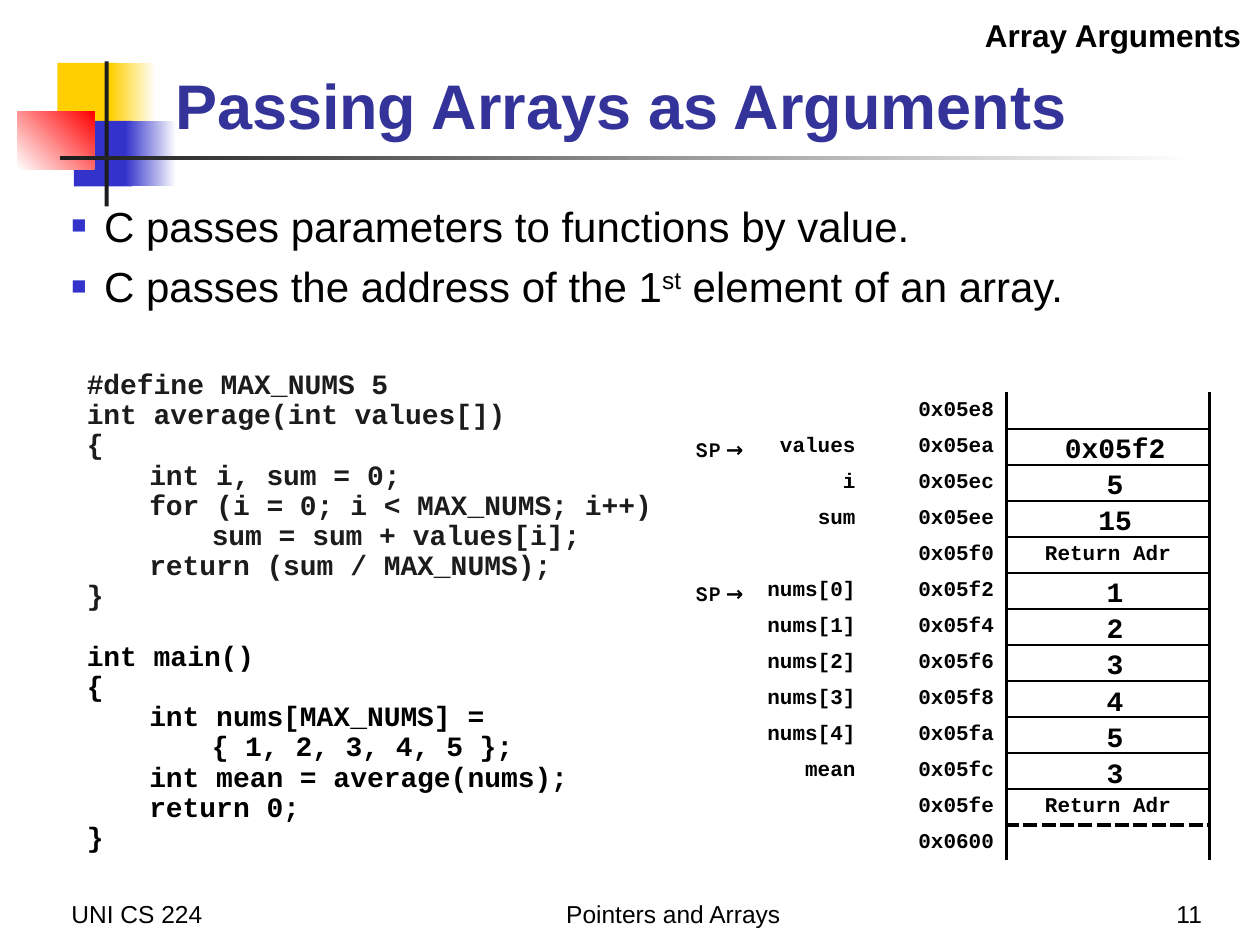
from lxml.etree import SubElement
from pptx import Presentation
from pptx.dml.color import RGBColor
from pptx.enum.shapes import MSO_SHAPE
from pptx.enum.text import MSO_ANCHOR, PP_ALIGN
from pptx.oxml.ns import qn
from pptx.util import Cm, Pt

BLACK = RGBColor(0x00, 0x00, 0x00)
CHARCOAL = RGBColor(0x1C, 0x1C, 0x1C)
WHITE = RGBColor(0xFF, 0xFF, 0xFF)
YELLOW = RGBColor(0xFF, 0xCF, 0x01)
BLUE = RGBColor(0x33, 0x33, 0xCC)
RED = RGBColor(0xFF, 0x00, 0x00)
TITLE_BLUE = RGBColor(0x33, 0x33, 0x99)
MONO = "Courier New"

BULLETS = [
    [("C passes parameters to functions by value.", 0)],
    [("C passes the address of the 1", 0), ("st", 30000),
     (" element of an array.", 0)],
]
AVERAGE_CODE = [
    (0, "#define MAX_NUMS 5"),
    (0, "int average(int values[])"),
    (0, "{"),
    (1, "int i, sum = 0;"),
    (1, "for (i = 0; i < MAX_NUMS; i++)"),
    (2, "sum = sum + values[i];"),
    (1, "return (sum / MAX_NUMS);"),
    (0, "}"),
]
MAIN_CODE = [
    (0, "int main()"),
    (0, "{"),
    (1, "int nums[MAX_NUMS] ="),
    (2, "{ 1, 2, 3, 4, 5 };"),
    (1, "int mean = average(nums);"),
    (1, "return 0;"),
    (0, "}"),
]
NAMES = ["", "values", "i", "sum", "", "nums[0]", "nums[1]", "nums[2]",
         "nums[3]", "nums[4]", "mean", "", ""]
VALUES = ["", "0x05f2", "5", "15", "", "1", "2", "3", "4", "5", "3", "", ""]
RETURN_ROWS = (4, 11)
STACK_POINTER_ROWS = (1, 5)
FIRST_ADDRESS = 0x05E8


def write(paragraph, text, size=12, font="Arial", color=BLACK, bold=False,
          align=PP_ALIGN.LEFT):
    """Add formatted text to a paragraph and return the run."""
    paragraph.alignment = align
    run = paragraph.add_run()
    run.text = text
    run.font.size = Pt(size)
    run.font.name = font
    run.font.bold = bold
    run.font.color.rgb = color
    return run


def add_box(slide, left, top, width, height, anchor=MSO_ANCHOR.TOP, wrap=True):
    """Add an empty text box and return its text frame."""
    frame = slide.shapes.add_textbox(
        Cm(left), Cm(top), Cm(width), Cm(height)).text_frame
    frame.word_wrap = wrap
    frame.vertical_anchor = anchor
    return frame


def next_paragraph(frame, index):
    """Return the first paragraph of a frame, or a new one after it."""
    return frame.add_paragraph() if index else frame.paragraphs[0]


def add_block(slide, left, top, width, height, start, end=None, angle=0):
    """Add a borderless rectangle with a plain or gradient fill."""
    shape = slide.shapes.add_shape(
        MSO_SHAPE.RECTANGLE, Cm(left), Cm(top), Cm(width), Cm(height))
    shape.shadow.inherit = False
    shape.line.fill.background()
    if end is None:
        shape.fill.solid()
        shape.fill.fore_color.rgb = start
        return
    shape.fill.gradient()
    shape.fill.gradient_angle = angle
    for stop, color, position in zip(shape.fill.gradient_stops, (start, end), (0, 1)):
        stop.color.rgb = color
        stop.position = position


def add_emblem(slide, left, top):
    """Add the coloured squares with the crossing bars."""
    add_block(slide, left + 0.81, top + 0.03, 1.22, 1.32, YELLOW)
    add_block(slide, left + 1.88, top + 0.03, 0.91, 1.32, YELLOW, WHITE)
    add_block(slide, left + 1.14, top + 1.2, 1.17, 1.32, BLUE)
    add_block(slide, left + 2.18, top + 1.2, 1.02, 1.32, BLUE, WHITE)
    add_block(slide, left, top + 1, 1.55, 1.17, WHITE, RED, 45)
    add_block(slide, left + 1.76, top, 0.08, 2.92, CHARCOAL)
    add_block(slide, left + 0.86, top + 1.91, 22.86, 0.08, CHARCOAL, WHITE)


def add_headings(slide):
    """Add the section label and the title."""
    title = add_box(slide, 3.28, 0.58, 21.64, 2.41, MSO_ANCHOR.BOTTOM)
    write(title.paragraphs[0], "Passing Arrays as Arguments", size=36,
          color=TITLE_BLUE, bold=True)
    section = add_box(slide, 15.06, 0.2, 10.21, 1.02)
    write(section.paragraphs[0], "Array Arguments", size=18, bold=True,
          align=PP_ALIGN.RIGHT)


def add_footer(slide, top):
    """Add the three footer texts."""
    for left, width, text, align in (
            (1.19, 5.28, "UNI CS 224", PP_ALIGN.LEFT),
            (7.06, 13.03, "Pointers and Arrays", PP_ALIGN.CENTER),
            (19.2, 5.28, "11", PP_ALIGN.RIGHT)):
        frame = add_box(slide, left, top, width, 1.27, MSO_ANCHOR.BOTTOM)
        write(frame.paragraphs[0], text, size=14, align=align)


def add_bullets(slide, left, top, width, height):
    """Add the square-bulleted statements."""
    frame = add_box(slide, left, top, width, height)
    for index, parts in enumerate(BULLETS):
        paragraph = next_paragraph(frame, index)
        paragraph.space_before = Pt(5.5)
        for text, baseline in parts:
            run = write(paragraph, text, size=24)
            if baseline:
                run.font._element.set("baseline", str(baseline))
        properties = paragraph._p.get_or_add_pPr()
        properties.set("marL", str(Cm(0.66)))
        properties.set("indent", str(-Cm(0.66)))
        color = SubElement(properties, qn("a:buClr"))
        SubElement(color, qn("a:srgbClr")).set("val", str(BLUE))
        SubElement(properties, qn("a:buSzPct")).set("val", "60000")
        SubElement(properties, qn("a:buFont")).set("typeface", "Arial")
        SubElement(properties, qn("a:buChar")).set("char", "■")


def add_code(slide, left, top, width, height):
    """Add the two functions, indented by level."""
    frame = add_box(slide, left, top, width, height)
    lines = [(line, CHARCOAL) for line in AVERAGE_CODE]
    lines += [(line, BLACK) for line in MAIN_CODE]
    for index, ((level, text), color) in enumerate(lines):
        paragraph = next_paragraph(frame, index)
        paragraph.line_spacing = 0.9
        if index == len(AVERAGE_CODE):
            paragraph.space_before = Pt(17.3)
        paragraph._p.get_or_add_pPr().set("marL", str(Cm(1.26 * level)))
        write(paragraph, text, size=16, font=MONO, color=color, bold=True)


def set_borders(cell, borders):
    """Draw cell borders given as side: (points, dash)."""
    properties = cell._tc.get_or_add_tcPr()
    for side, (points, dash) in borders.items():
        line = SubElement(properties, qn("a:ln" + side), w=str(Pt(points)))
        fill = SubElement(line, qn("a:solidFill"))
        SubElement(fill, qn("a:srgbClr")).set("val", str(BLACK))
        SubElement(line, qn("a:prstDash")).set("val", dash)


def memory_borders(row, column, last):
    """Return the borders of one cell of the memory table."""
    edge, rule, dashed = (2.25, "solid"), (1, "solid"), (2.25, "dash")
    if column < 2:
        return {"R": edge} if column else {}
    borders = {"L": edge, "R": edge}
    if row:
        borders["T"] = dashed if row == last else rule
    if row < last:
        borders["B"] = dashed if row == last - 1 else rule
    return borders


def add_memory(slide, left, top, height):
    """Add the stack memory table with its values and stack pointers."""
    count = len(NAMES)
    pitch = height / count
    widths = (4.32, 2.79, 4.09)
    graphic = slide.shapes.add_table(
        count, 3, Cm(left), Cm(top), Cm(sum(widths)), Cm(height))
    table = graphic.table
    table.first_row = table.horz_banding = False
    for column, width in zip(table.columns, widths):
        column.width = Cm(width)
    for row, name in enumerate(NAMES):
        table.rows[row].height = Cm(pitch)
        content = "Return Adr" if row in RETURN_ROWS else ""
        texts = (name, f"0x{FIRST_ADDRESS + 2 * row:04x}", content)
        for column, text in enumerate(texts):
            cell = table.cell(row, column)
            cell.margin_top = cell.margin_bottom = Cm(0.03)
            cell.vertical_anchor = MSO_ANCHOR.MIDDLE
            set_borders(cell, memory_borders(row, column, count - 1))
            cell.fill.background()
            paragraph = cell.text_frame.paragraphs[0]
            if text:
                align = PP_ALIGN.CENTER if column == 2 else PP_ALIGN.RIGHT
                write(paragraph, text, font=MONO, bold=True, align=align)
            else:
                SubElement(paragraph._p, qn("a:endParaRPr")).set("sz", "1200")
    for row, value in enumerate(VALUES):
        if value:
            width = 0.52 + 0.34 * len(value)
            frame = add_box(slide, left + 9.3 - width / 2, top + row * pitch - 0.09,
                            width, 0.94, wrap=False)
            write(frame.paragraphs[0], value, size=16, font=MONO, bold=True,
                  align=PP_ALIGN.CENTER)
    for row in STACK_POINTER_ROWS:
        frame = add_box(slide, left + 0.03, top + row * pitch + 0.03, 2.03, 0.76)
        write(frame.paragraphs[0], "SP →", font="Karla", bold=True,
              align=PP_ALIGN.RIGHT)


def main():
    """Build the slide and save it."""
    presentation = Presentation()
    presentation.slide_width, presentation.slide_height = Cm(25.4), Cm(19.05)
    slide = presentation.slides.add_slide(presentation.slide_layouts[6])
    add_emblem(slide, 0.35, 1.24)
    add_footer(slide, 17.58)
    add_headings(slide)
    add_bullets(slide, 1.19, 3.91, 22.99, 3.61)
    add_code(slide, 1.5, 7.34, 12.85, 10.26)
    add_memory(slide, 13.18, 7.92, 9.45)
    presentation.save("out.pptx")


main()
